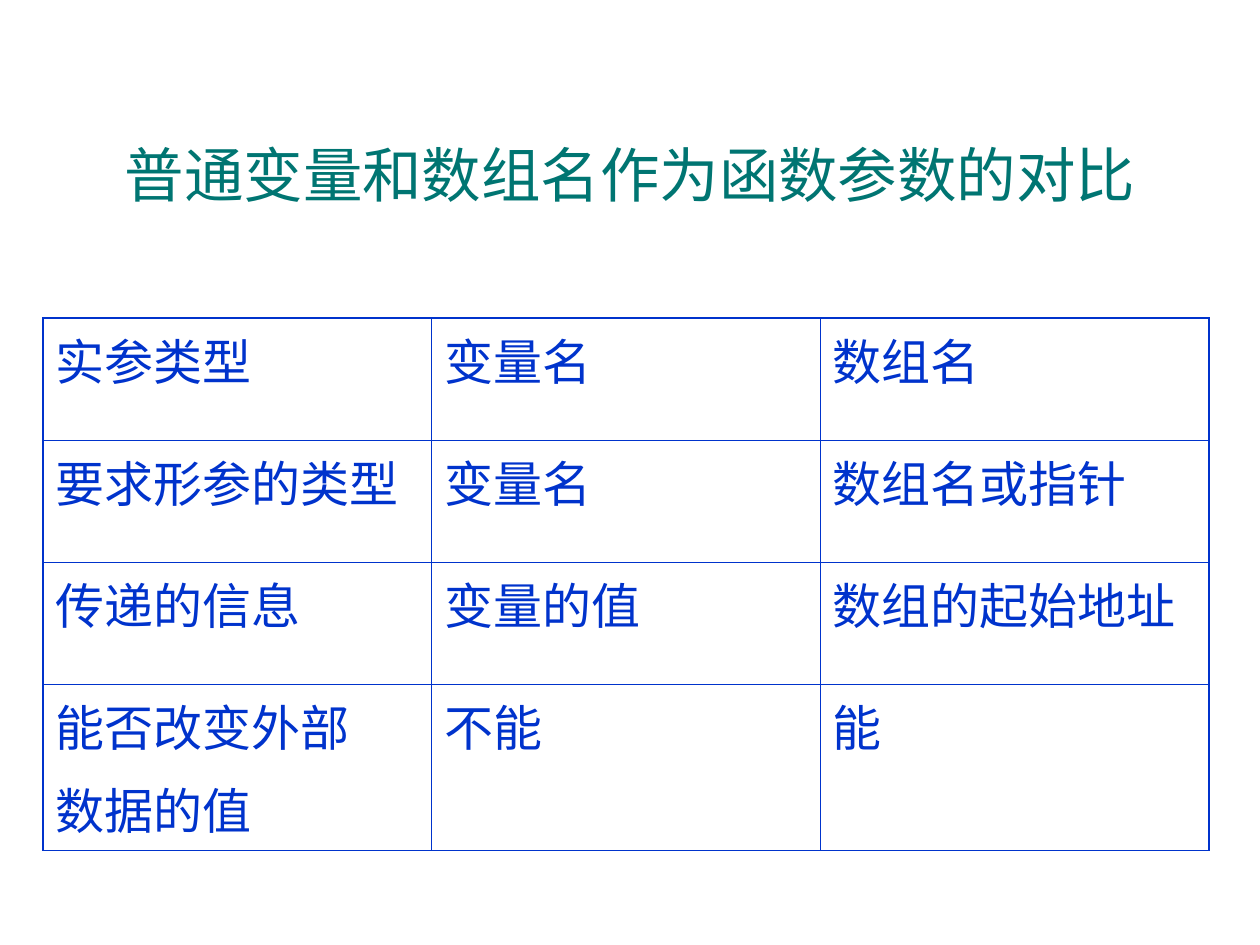
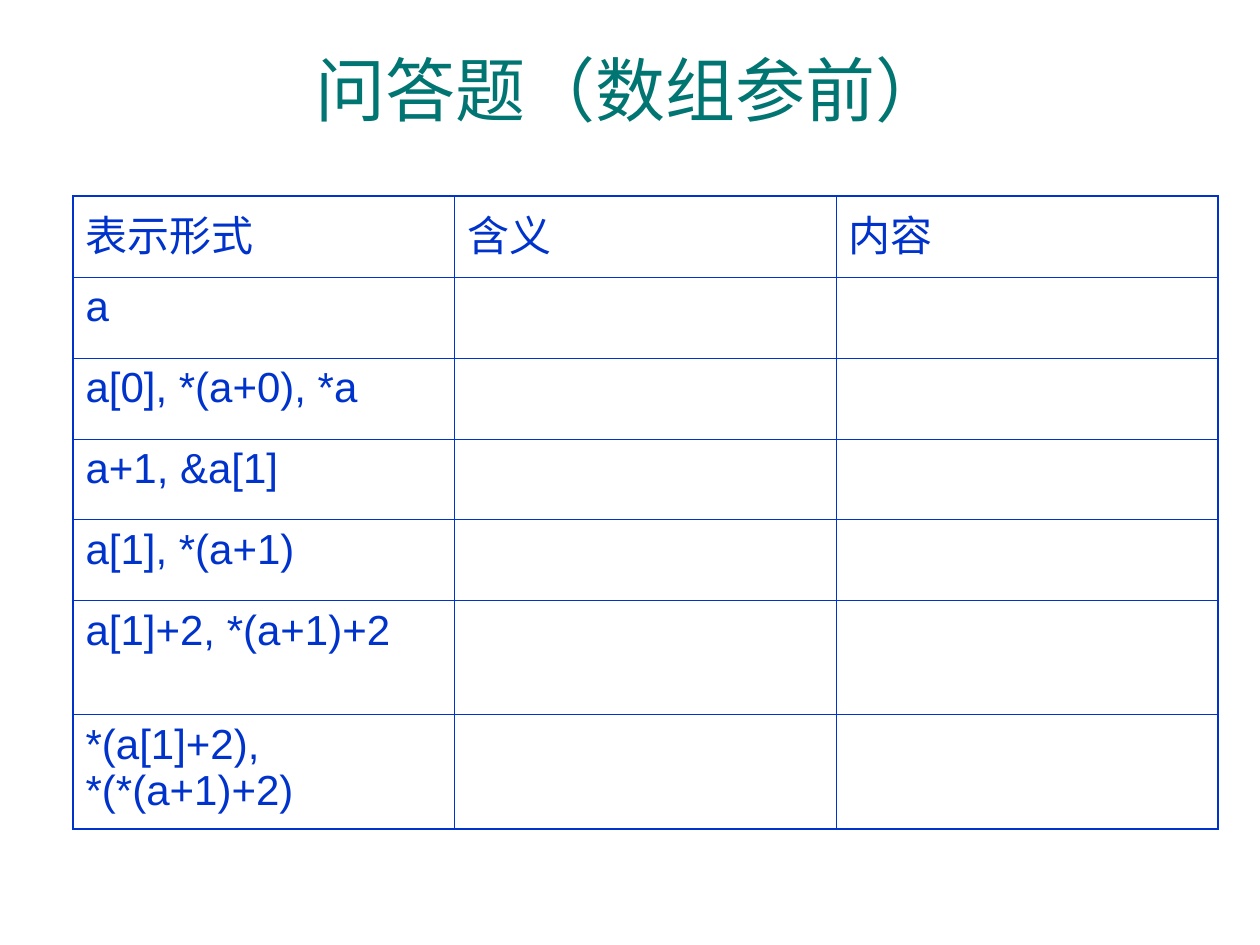
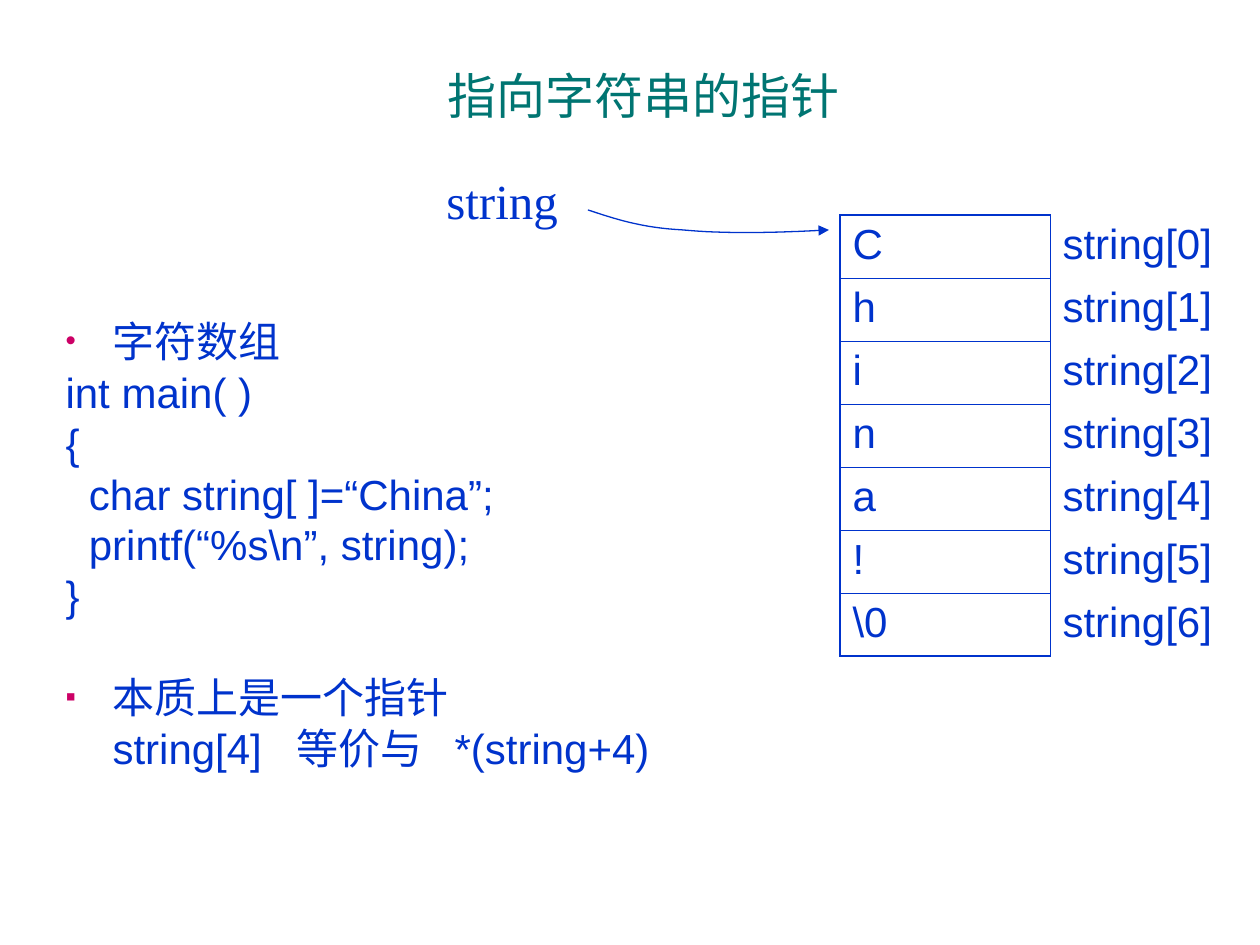
from dataclasses import dataclass

from lxml import etree
from pptx import Presentation
from pptx import util as u
from pptx.dml.color import RGBColor
from pptx.enum import text
from pptx.oxml.ns import qn

PX = u.Inches(1) / 126
NO_TABLE_STYLE = "{2D5ABB26-0587-4C30-8999-92F81FD0307C}"
TITLE_ONLY, TITLE_AND_BODY = 5, 1


@dataclass(frozen=True)
class Theme:
    title: str = "007572"
    ink: str = "0033CC"
    bullet: str = "CC0066"
    sans: str = "Arial"
    serif: str = "Times New Roman"
    large: int = 40
    heading: int = 34
    medium: int = 28
    small: int = 24
    outer_line: float = 1.08
    inner_line: float = 0.45
    arrow_line: float = 0.75


THEME = Theme()


def px(length):
    return u.Emu(round(length * PX))


def place(shape, box):
    shape.left, shape.top, shape.width, shape.height = map(px, box)


def set_font(paragraph, size, color=THEME.ink, name=THEME.sans):
    font = paragraph.font
    font.size, font.name = u.Pt(size), name
    font.color.rgb = RGBColor.from_string(color)


def add_element(parent, tag, **attributes):
    return etree.SubElement(parent, qn(tag), attributes)


def add_slide(presentation, layout, title, box, size):
    slide = presentation.slides.add_slide(presentation.slide_layouts[layout])
    shape = slide.shapes.title
    place(shape, box)
    frame = shape.text_frame
    frame.text = title
    frame.vertical_anchor = text.MSO_ANCHOR.MIDDLE
    paragraph = frame.paragraphs[0]
    paragraph.alignment = text.PP_ALIGN.CENTER
    set_font(paragraph, size, THEME.title)
    return slide


# Tables
def set_borders(cell, widths):
    """Draw the left, right, top and bottom lines; None leaves a side bare."""
    properties = cell._tc.get_or_add_tcPr()
    for side, width in zip("LRTB", widths):
        line = add_element(properties, f"a:ln{side}", w=str(u.Pt(width or 0)))
        if width is None:
            add_element(line, "a:noFill")
        else:
            fill = add_element(line, "a:solidFill")
            add_element(fill, "a:srgbClr", val=THEME.ink)


def fill_cell(cell, content, size, space_before):
    cell.fill.background()
    if not content:
        return
    cell.text = content
    for index, paragraph in enumerate(cell.text_frame.paragraphs):
        if index:
            paragraph.space_before = u.Pt(space_before)
        set_font(paragraph, size)


def add_grid(slide, box, rows, heights, size, space_before=6, ruled_columns=None):
    """Add a table with a heavier outline; columns past ruled_columns are bare."""
    row_count, column_count = len(rows), len(rows[0])
    ruled_columns = ruled_columns or column_count
    frame = slide.shapes.add_table(row_count, column_count, *map(px, box))
    table = frame.table
    table._tbl.tblPr.find(qn("a:tableStyleId")).text = NO_TABLE_STYLE
    table.first_row = table.horz_banding = False
    for column in table.columns:
        column.width = px(box[2] / column_count)
    for r, (values, height) in enumerate(zip(rows, heights)):
        table.rows[r].height = px(height)
        for c, value in enumerate(values):
            cell = table.cell(r, c)
            if c < ruled_columns:
                edges = (c == 0, c == column_count - 1, r == 0, r == row_count - 1)
                widths = [THEME.outer_line if edge else THEME.inner_line
                          for edge in edges]
            else:
                widths = [THEME.inner_line if c == ruled_columns else None] + [None] * 3
            set_borders(cell, widths)
            fill_cell(cell, value, size, space_before)


# Body list with code
def set_layout(paragraph, bullet=None, margin=0, indent=0):
    properties = paragraph._p.get_or_add_pPr()
    properties.set("marL", str(px(margin)))
    properties.set("indent", str(px(indent)))
    if bullet:
        color = add_element(properties, "a:buClr")
        add_element(color, "a:srgbClr", val=THEME.bullet)
        add_element(properties, "a:buSzPct", val="70000")
        add_element(properties, "a:buFont", typeface=THEME.sans)
        add_element(properties, "a:buChar", char=bullet)
    else:
        add_element(properties, "a:buNone")


def add_spread_words(paragraph, words, spacing):
    """Join words by single spaces widened by spacing points."""
    for index, word in enumerate(words):
        if index:
            gap = paragraph.add_run()
            gap.text = " "
            gap._r.get_or_add_rPr().set("spc", str(spacing * 100))
        paragraph.add_run().text = word


def fill_body(slide, box, lines):
    """Fill the body from (words, space before, layout) entries."""
    body = slide.placeholders[1]
    place(body, box)
    frame = body.text_frame
    frame.auto_size = text.MSO_AUTO_SIZE.NONE
    for index, (words, space, layout) in enumerate(lines):
        paragraph = frame.add_paragraph() if index else frame.paragraphs[0]
        add_spread_words(paragraph, words, spacing=13)
        set_layout(paragraph, **layout)
        paragraph.line_spacing = 0.8
        paragraph.space_before = u.Pt(space)
        set_font(paragraph, THEME.small)


# Pointer label and curved arrow
def add_label(slide, box, content):
    frame = slide.shapes.add_textbox(*map(px, box)).text_frame
    frame.word_wrap = True
    frame.text = content
    set_font(frame.paragraphs[0], THEME.medium, name=THEME.serif)


def bezier(start, first, second, end, steps=16):
    for step in range(1, steps + 1):
        t = step / steps
        s = 1 - t
        yield tuple(px(s**3 * a + 3 * s * s * t * b + 3 * s * t * t * c + t**3 * d)
                    for a, b, c, d in zip(start, first, second, end))


def add_curved_arrow(slide, left, top):
    curves = [((0, 0), (27, 9), (54, 18), (95, 20)),
              ((95, 20), (135, 24), (188, 23), (241, 20))]
    builder = slide.shapes.build_freeform(0, 0)
    for curve in curves:
        builder.add_line_segments(list(bezier(*curve)), close=False)
    arrow = builder.convert_to_shape(px(left), px(top))
    arrow.shadow.inherit = False
    arrow.fill.background()
    arrow.line.color.rgb = RGBColor.from_string(THEME.ink)
    arrow.line.width = u.Pt(THEME.arrow_line)
    add_element(arrow.line._get_or_add_ln(), "a:tailEnd", type="triangle")


# Slides
def build_comparison(presentation):
    slide = add_slide(presentation, TITLE_ONLY, "普通变量和数组名作为函数参数的对比",
                      (42, 95, 1176, 157), THEME.heading)
    rows = [("实参类型", "变量名", "数组名"),
            ("要求形参的类型", "变量名", "数组名或指针"),
            ("传递的信息", "变量的值", "数组的起始地址"),
            ("能否改变外部\n数据的值", "不能", "能")]
    add_grid(slide, (43, 318, 1166, 533), rows, [122] * 3 + [166],
             THEME.medium, space_before=7)


def build_questions(presentation):
    slide = add_slide(presentation, TITLE_ONLY, "问答题（数组参前）",
                      (95, 10, 1071, 157), THEME.large)
    expressions = ["a", "a[0], *(a+0), *a", "a+1, &a[1]", "a[1], *(a+1)",
                   "a[1]+2, *(a+1)+2", "*(a[1]+2), *(*(a+1)+2)"]
    rows = [("表示形式", "含义", "内容")] + [(item, "", "") for item in expressions]
    add_grid(slide, (73, 196, 1145, 633), rows, [81] * 5 + [114] * 2, THEME.small)


def build_string_pointer(presentation):
    slide = add_slide(presentation, TITLE_AND_BODY, "指向字符串的指针",
                      (355, 42, 577, 105), THEME.medium)
    hanging = {"margin": 47, "indent": -47}
    code = ["int main( )", "{", "  char string[ ]=“China”;",
            "  printf(“%s\\n”, string);", "}"]
    lines = [(["字符数组"], 0, {"bullet": "•", **hanging}),
             *(([line], 6, {}) for line in code),
             (["本质上是一个指针"], 35, {"bullet": "▪", **hanging}),
             (["string[4]", "等价与", "*(string+4)"], 6, {"margin": 47})]
    fill_body(slide, (53, 319, 714, 490), lines)

    characters = [*"China!", "\\0"]
    rows = [(character, f"string[{index}]")
            for index, character in enumerate(characters)]
    add_grid(slide, (840, 215, 420, 441), rows, [63] * len(rows), THEME.small,
             ruled_columns=1)
    add_label(slide, (434, 164, 150, 72), "string")
    add_curved_arrow(slide, 588, 210)


def main():
    presentation = Presentation()
    presentation.slide_width, presentation.slide_height = px(1260), px(945)
    build_comparison(presentation)
    build_questions(presentation)
    build_string_pointer(presentation)
    presentation.save("out.pptx")


if __name__ == "__main__":
    main()
